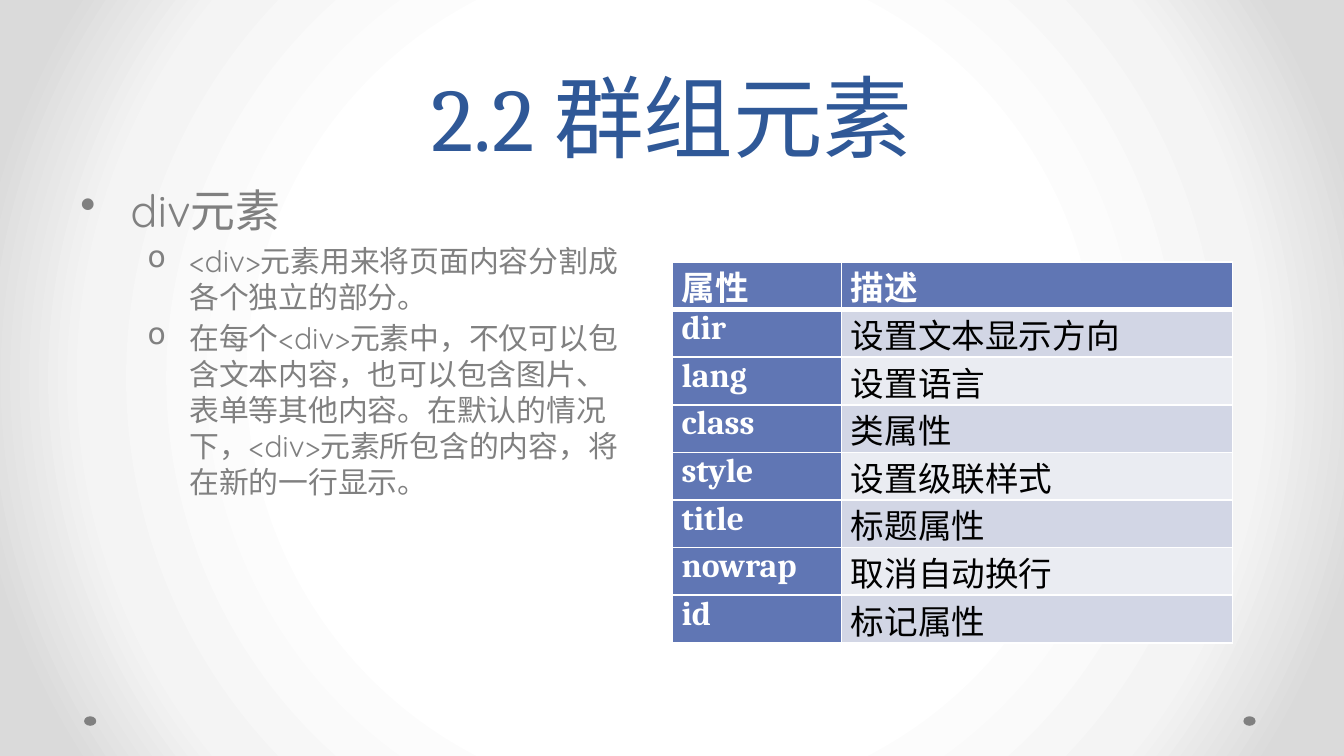
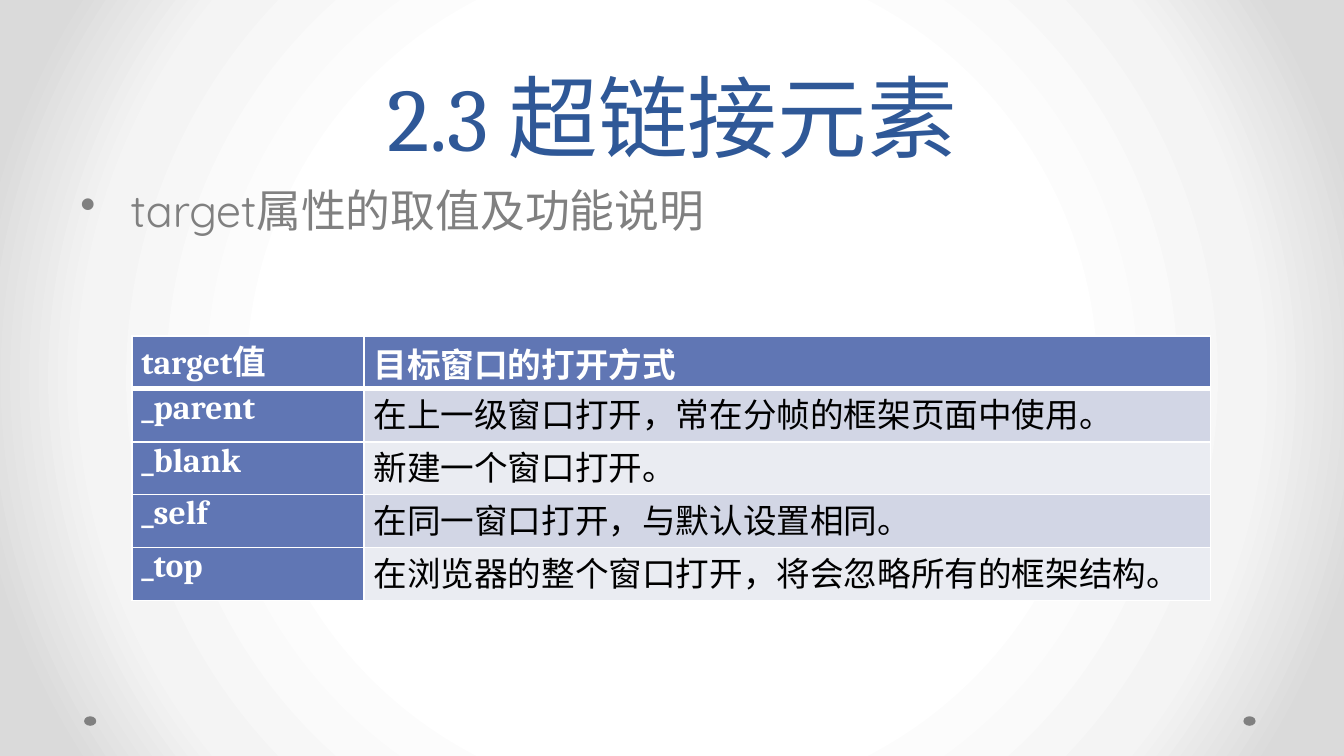
from dataclasses import dataclass
from typing import Optional

from lxml.etree import SubElement
from pptx import Presentation
from pptx.dml.color import RGBColor as Rgb
from pptx.enum.shapes import MSO_SHAPE as Preset
from pptx.enum.text import MSO_ANCHOR as Anchor, PP_ALIGN as Align
from pptx.oxml import parse_xml
from pptx.oxml.ns import nsdecls, qn
from pptx.slide import Slide
from pptx.util import Cm, Pt

# Shared look
COLORS = {
    "title": "2F5897", "body": "808080", "dot": "808080",
    "head": "6076B4", "band_dark": "D2D6E5", "band_light": "EAECF2",
    "white": "FFFFFF", "black": "000000",
    "glow_mid": "F4F4F4", "glow_edge": "DADADA",
}
GLOW_STOPS = ((50, "white"), (76, "glow_mid"), (92, "glow_edge"))
SERIF, SANS = "Cambria", "Quicksand"
MARGIN, TITLE_HEIGHT, CONTENT_WIDTH, BODY_HEIGHT = 1.27, 3.33, 22.86, 9.42
DOT_LEFTS, DOT_TOP, DOT_WIDTH, DOT_HEIGHT = (1.59, 23.5), 13.54, 0.23, 0.18


@dataclass(frozen=True)
class BulletStyle:
    mark: str
    size: int
    indent: float
    hanging: float


@dataclass(frozen=True)
class Bullet:
    text: str
    level: int = 0


@dataclass(frozen=True)
class Grid:
    left: float
    top: float
    columns: tuple[float, ...]
    row_height: float
    rows: tuple[tuple[str, str], ...]
    last_head_anchor: Optional[Anchor] = None


@dataclass(frozen=True)
class Page:
    title: str
    body_width: float
    bullets: tuple[Bullet, ...]
    grid: Grid


BULLET_STYLES = (BulletStyle("•", 24, 0.95, 0.95), BulletStyle("o", 16, 2.06, 0.79))

PAGES = (
    Page(
        "2.2 群组元素", 10.82,
        (
            Bullet("div元素"),
            Bullet("<div>元素用来将页面内容分割成各个独立的部分。", 1),
            Bullet("在每个<div>元素中，不仅可以包含文本内容，也可以包含图片、表单等其他内容。"
                   "在默认的情况下，<div>元素所包含的内容，将在新的一行显示。", 1),
        ),
        Grid(12.7, 4.95, (3.2, 7.39), 0.9, (
            ("属性", "描述"),
            ("dir", "设置文本显示方向"),
            ("lang", "设置语言"),
            ("class", "类属性"),
            ("style", "设置级联样式"),
            ("title", "标题属性"),
            ("nowrap", "取消自动换行"),
            ("id", "标记属性"),
        )),
    ),
    Page(
        "2.3 超链接元素", CONTENT_WIDTH,
        (Bullet("target属性的取值及功能说明"),),
        Grid(2.49, 6.35, (4.39, 16.0), 1.0, (
            ("target值", "目标窗口的打开方式"),
            ("_parent", "在上一级窗口打开，常在分帧的框架页面中使用。"),
            ("_blank", "新建一个窗口打开。"),
            ("_self", "在同一窗口打开，与默认设置相同。"),
            ("_top", "在浏览器的整个窗口打开，将会忽略所有的框架结构。"),
        ), Anchor.MIDDLE),
    ),
)


def color(name: str) -> Rgb:
    return Rgb.from_string(COLORS[name])


def add_span(para, text: str, font: str, size: int, tint: str, bold: bool = False) -> None:
    span = para.add_run()
    span.text = text
    span.font.name = font
    span.font.size = Pt(size)
    span.font.bold = bold
    span.font.color.rgb = color(tint)


def add_frame(slide: Slide, top: float, width: float, height: float):
    box = slide.shapes.add_textbox(Cm(MARGIN), Cm(top), Cm(width), Cm(height))
    box.text_frame.word_wrap = True
    return box.text_frame


def paint_background(slide: Slide) -> None:
    """Radial glow, white in the middle and grey at the edges."""
    stops = "".join(
        f'<a:gs pos="{place * 1000}"><a:srgbClr val="{COLORS[name]}"/></a:gs>'
        for place, name in GLOW_STOPS)
    glow = parse_xml(
        f'<a:gradFill {nsdecls("a")} rotWithShape="1"><a:gsLst>{stops}</a:gsLst>'
        '<a:path path="circle"><a:fillToRect l="50000" t="50000" r="50000" b="50000"/>'
        '</a:path></a:gradFill>')
    slide.background.fill.gradient()
    default = slide.element.find(".//" + qn("a:gradFill"))
    default.getparent().replace(default, glow)


def add_dots(slide: Slide) -> None:
    for left in DOT_LEFTS:
        dot = slide.shapes.add_shape(
            Preset.OVAL, Cm(left), Cm(DOT_TOP), Cm(DOT_WIDTH), Cm(DOT_HEIGHT))
        dot.shadow.inherit = False
        dot.fill.solid()
        dot.fill.fore_color.rgb = color("dot")
        dot.line.fill.background()


def add_title(slide: Slide, text: str) -> None:
    frame = add_frame(slide, 0, CONTENT_WIDTH, TITLE_HEIGHT)
    frame.vertical_anchor = Anchor.BOTTOM
    para = frame.paragraphs[0]
    para.alignment = Align.CENTER
    para.line_spacing = Pt(58)
    add_span(para, text, SERIF, 48, "title")


def add_bullets(slide: Slide, bullets: tuple[Bullet, ...], width: float) -> None:
    frame = add_frame(slide, TITLE_HEIGHT, width, BODY_HEIGHT)
    for index, bullet in enumerate(bullets):
        style = BULLET_STYLES[bullet.level]
        para = frame.add_paragraph() if index else frame.paragraphs[0]
        para.level = bullet.level
        para.space_before = Pt(style.size * 0.2)
        add_span(para, bullet.text, SANS, style.size, "body")
        # Hanging indent and bullet mark
        settings = para._p.get_or_add_pPr()
        settings.set("marL", str(Cm(style.indent)))
        settings.set("indent", str(-Cm(style.hanging)))
        SubElement(settings, qn("a:buChar")).set("char", style.mark)


def add_border(cell, side: str, points: int) -> None:
    line = SubElement(cell._tc.get_or_add_tcPr(), qn(f"a:ln{side}"), w=str(Pt(points)))
    fill = SubElement(line, qn("a:solidFill"))
    SubElement(fill, qn("a:srgbClr"), val=COLORS["white"])


def style_cell(cell, text: str, row: int, column: int) -> None:
    is_head = row == 0 or column == 0
    cell.margin_left = cell.margin_right = Cm(0.18)
    cell.margin_top = cell.margin_bottom = 0
    # The line under the header row is the thick one
    add_border(cell, "L", 1)
    add_border(cell, "R", 1)
    if row == 0:
        add_border(cell, "T", 1)
    add_border(cell, "B", 1 if row else 3)
    band = "band_dark" if row % 2 else "band_light"
    cell.fill.solid()
    cell.fill.fore_color.rgb = color("head" if is_head else band)
    add_span(cell.text_frame.paragraphs[0], text, SERIF, 18,
             "white" if is_head else "black", is_head)


def add_grid(slide: Slide, grid: Grid) -> None:
    count = len(grid.rows)
    table = slide.shapes.add_table(
        count, len(grid.columns), Cm(grid.left), Cm(grid.top),
        Cm(sum(grid.columns)), Cm(grid.row_height * count)).table
    table.first_col = True
    for column, width in zip(table.columns, grid.columns):
        column.width = Cm(width)
    for row, texts in enumerate(grid.rows):
        table.rows[row].height = Cm(grid.row_height)
        for column, text in enumerate(texts):
            style_cell(table.cell(row, column), text, row, column)
    if grid.last_head_anchor is not None:
        table.cell(0, len(grid.columns) - 1).vertical_anchor = grid.last_head_anchor


# Build the deck
deck = Presentation()
deck.slide_width, deck.slide_height = Cm(25.4), Cm(14.29)
for page in PAGES:
    slide = deck.slides.add_slide(deck.slide_layouts[6])
    paint_background(slide)
    add_dots(slide)
    add_title(slide, page.title)
    add_bullets(slide, page.bullets, page.body_width)
    add_grid(slide, page.grid)
deck.save("out.pptx")
